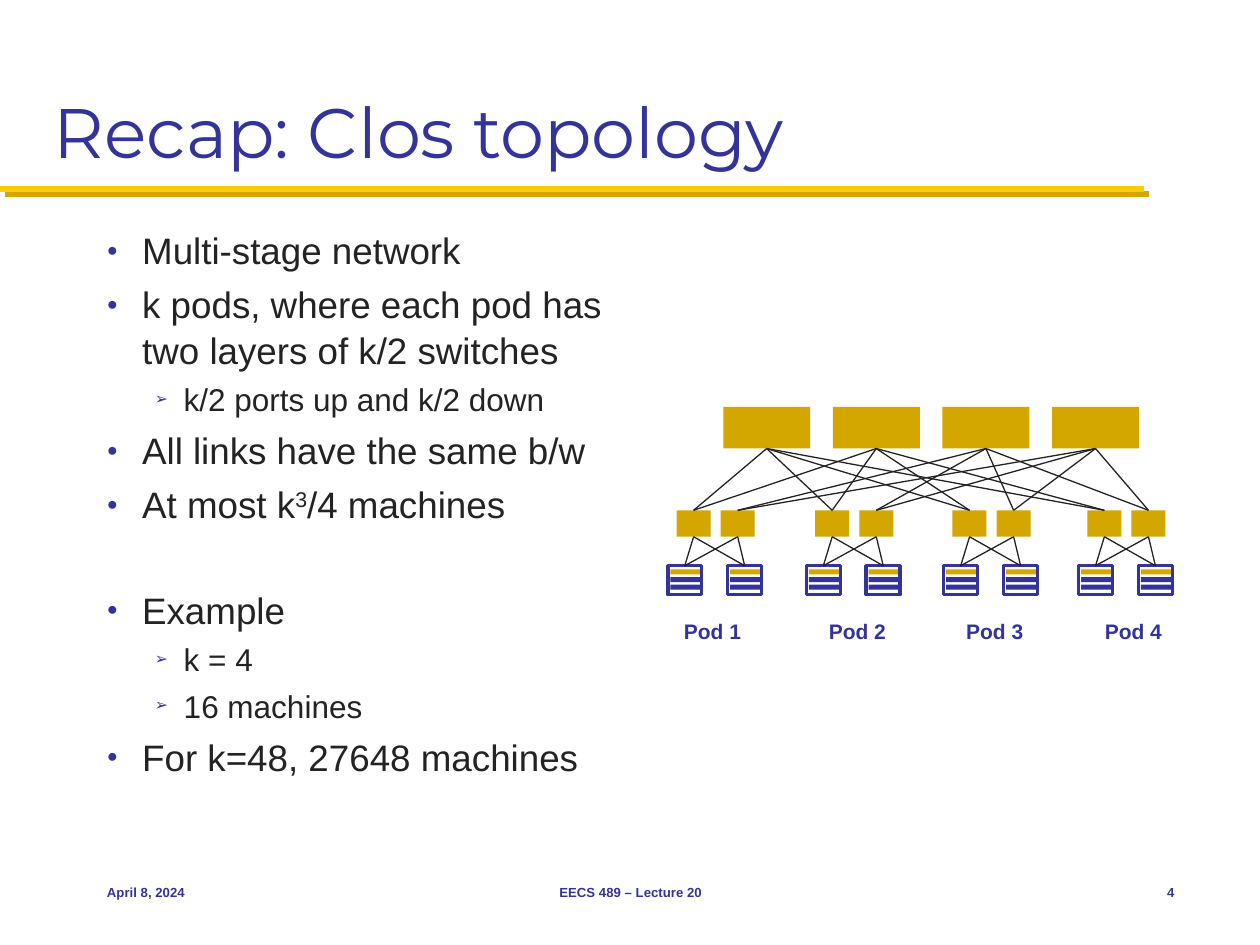
from lxml import etree
from pptx import Presentation
from pptx.dml.color import RGBColor
from pptx.enum import shapes, text
from pptx.oxml import ns
from pptx.util import Inches, Pt

BLUE = RGBColor(0x33, 0x33, 0x99)
GOLD = RGBColor(0xD3, 0xA6, 0x00)
YELLOW = RGBColor(0xFF, 0xCB, 0x05)
INK = RGBColor(0x23, 0x23, 0x23)

# Each bullet: level, pieces (every second piece is superscript), space before
BULLETS = [
    (0, ["Multi-stage network"], 5),
    (0, ["k pods, where each pod has two layers of k/2 switches"], 5),
    (1, ["k/2 ports up and k/2 down"], 4.3),
    (0, ["All links have the same b/w"], 5),
    (0, ["At most k", "3", "/4 machines"], 5),
    (0, ["Example"], 34.2),
    (1, ["k = 4"], 4.3),
    (1, ["16 machines"], 4.3),
    (0, ["For k=48, 27648 machines"], 5),
]
# Per level: font size, left margin, hanging indent, bullet sign
LEVELS = [(21, 0.28, -0.28, "●"), (18, 0.61, -0.23, "➢")]

CORE_LEFTS = [5.74 + 0.87 * i for i in range(4)]
POD_LEFTS = [5.3, 6.4, 7.49, 8.56]
LABEL_LEFTS = [5.33, 6.48, 7.57, 8.67]


def style(run, size, color, bold=False, font="Arial"):
    run.font.name = font
    run.font.size = Pt(size)
    run.font.bold = bold
    run.font.color.rgb = color


def add_text(slide, box, words, size, anchor=text.MSO_ANCHOR.MIDDLE,
             align=text.PP_ALIGN.LEFT, wrap=True, **look):
    frame = slide.shapes.add_textbox(*map(Inches, box)).text_frame
    frame.word_wrap = wrap
    frame.vertical_anchor = anchor
    frame.text = words
    frame.paragraphs[0].alignment = align
    style(frame.paragraphs[0].runs[0], size, BLUE, **look)


def add_bullets(slide):
    box = slide.shapes.add_textbox(
        Inches(0.75), Inches(1.75), Inches(4.25), Inches(4.83))
    frame = box.text_frame
    frame.word_wrap = True
    for number, (level, pieces, gap) in enumerate(BULLETS):
        size, margin, indent, sign = LEVELS[level]
        bullet = frame.add_paragraph() if number else frame.paragraphs[0]
        bullet.level = level
        bullet.space_before = Pt(gap)
        bullet.line_spacing = 1.03
        for index, piece in enumerate(pieces):
            run = bullet.add_run()
            run.text = piece
            style(run, size, INK)
            if index % 2:
                run.font._element.set("baseline", "30000")
        # Bullet sign
        props = bullet._p.get_or_add_pPr()
        props.set("marL", str(Inches(margin)))
        props.set("indent", str(Inches(indent)))
        color = etree.SubElement(props, ns.qn("a:buClr"))
        etree.SubElement(color, ns.qn("a:srgbClr"), val=str(BLUE))
        etree.SubElement(props, ns.qn("a:buSzPct"), val="50000")
        etree.SubElement(props, ns.qn("a:buFont"), typeface="Arial")
        etree.SubElement(props, ns.qn("a:buChar"), char=sign)


def add_box(slide, left, top, width, height, fill=None):
    """A filled block, or a blue frame when no fill is given."""
    box = slide.shapes.add_shape(
        shapes.MSO_SHAPE.RECTANGLE, *map(Inches, (left, top, width, height)))
    box.shadow.inherit = False
    if fill is None:
        box.fill.background()
        box.line.color.rgb = BLUE
        box.line.width = Pt(2)
    else:
        box.fill.solid()
        box.fill.fore_color.rgb = fill
        box.line.fill.background()
    return box


def add_line(slide, start, end, color, width):
    """A straight line, returned with its emptied effect list."""
    line = slide.shapes.add_connector(
        shapes.MSO_CONNECTOR.STRAIGHT, *map(Inches, start + end))
    line.line.color.rgb = color
    line.line.width = Pt(width)
    effects = etree.SubElement(line._element.spPr, ns.qn("a:effectLst"))
    return line, effects


def add_link(slide, lower, upper):
    link, _ = add_line(slide, (0, 0), (1, 1), INK, 0.75)
    link.begin_connect(lower, 0)
    link.end_connect(upper, 2)


def add_title_rule(slide):
    _, effects = add_line(slide, (0, 1.5), (9.08, 1.5), YELLOW, 3.5)
    shadow = etree.SubElement(
        effects, ns.qn("a:outerShdw"), dist=str(Pt(4.2)), dir="2700000",
        algn="ctr", rotWithShape="0")
    etree.SubElement(shadow, ns.qn("a:srgbClr"), val=str(GOLD))


def add_rack(slide, left):
    for top, color in ((4.64, BLUE), (4.58, BLUE), (4.52, GOLD)):
        add_box(slide, left + 0.02, top, 0.24, 0.04, color)
    return add_box(slide, left, 4.49, 0.27, 0.23)


def add_topology(slide):
    cores = [add_box(slide, left, 3.23, 0.69, 0.33, GOLD)
             for left in CORE_LEFTS]
    for number, (left, label_left) in enumerate(
            zip(POD_LEFTS, LABEL_LEFTS), 1):
        racks = [add_rack(slide, left + shift) for shift in (0, 0.475)]
        switches = [add_box(slide, left + shift, 4.05, 0.27, 0.21, GOLD)
                    for shift in (0.07, 0.42)]
        # Each switch reaches both racks of its pod and two of the cores
        for side, switch in enumerate(switches):
            for rack in racks:
                add_link(slide, rack, switch)
            for core in cores[2 * side:2 * side + 2]:
                add_link(slide, switch, core)
        add_text(slide, (label_left, 4.86, 0.66, 0.3), f"Pod {number}", 12,
                 wrap=False, bold=True)


def main():
    deck = Presentation()
    deck.slide_width, deck.slide_height = Inches(10), Inches(7.5)
    slide = deck.slides.add_slide(deck.slide_layouts[6])

    # Heading
    add_title_rule(slide)
    add_text(slide, (0.33, 0.17, 9.33, 1.25), "Recap: Clos topology", 40,
             anchor=text.MSO_ANCHOR.BOTTOM, font="Montserrat")

    # Body and diagram
    add_bullets(slide)
    add_topology(slide)

    # Footer
    for left, width, words, align in (
            (0.75, 2.08, "April 8, 2024", text.PP_ALIGN.LEFT),
            (3.42, 3.17, "EECS 489 – Lecture 20", text.PP_ALIGN.CENTER),
            (8.75, 0.67, "4", text.PP_ALIGN.RIGHT)):
        add_text(slide, (left, 6.83, width, 0.5), words, 7.5,
                 align=align, bold=True)

    deck.save("out.pptx")


if __name__ == "__main__":
    main()
